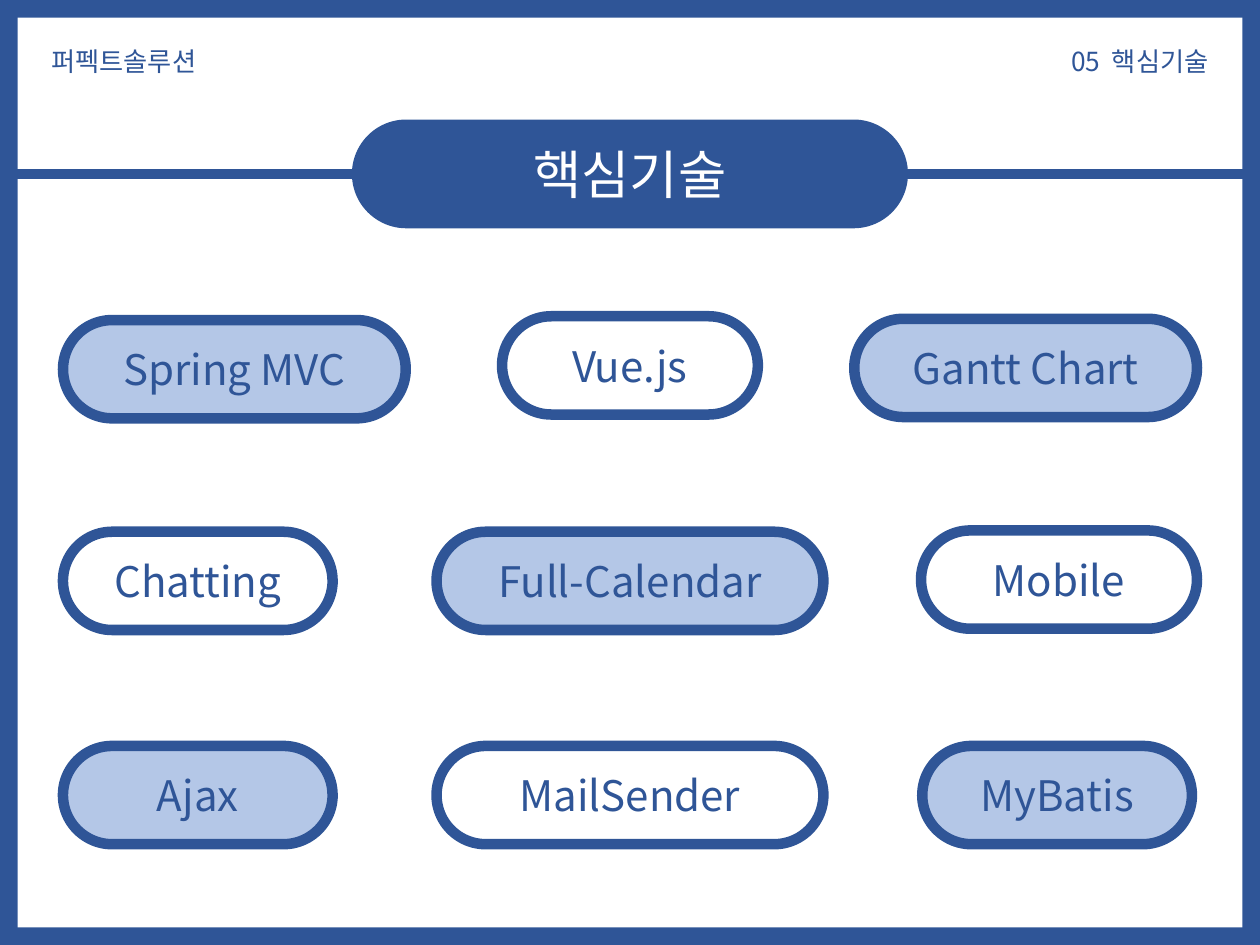
from lxml.etree import SubElement
from pptx import Presentation
from pptx.dml.color import RGBColor
from pptx.enum.shapes import MSO_CONNECTOR as Connector, MSO_SHAPE as Shape
from pptx.enum.text import MSO_ANCHOR as Anchor, MSO_AUTO_SIZE as AutoSize, PP_ALIGN as Align
from pptx.oxml.ns import qn
from pptx.util import Inches, Pt

FONT = "Noto Sans CJK KR"
NAVY, PALE, WHITE = "2F5597", "B4C7E7", "FFFFFF"
WIDTH, HEIGHT = 10, 7.5
FRAME = 0.14
MARGIN = 0.5
PILL_HEIGHT = 0.78
BORDER = 6

TITLE, TITLE_WIDTH, TITLE_MIDDLE = "핵심기술", 4.33, 1.38
HEADERS = [
    ("퍼펙트솔루션", 0.31, Align.LEFT),
    ("05  핵심기술", 6.75, Align.RIGHT),
]
ROW_TOPS = [2.53, 4.22, 5.92]
SKILLS = [
    [("Spring MVC", 2.72), ("Vue.js", 2.03), ("Gantt Chart", 2.72)],
    [("Chatting", 2.14), ("Full-Calendar", 3.07), ("Mobile", 2.19)],
    [("Ajax", 2.14), ("MailSender", 3.07), ("MyBatis", 2.14)],
]
NUDGES = {"Spring MVC": (0, 0.01), "Vue.js": (0, -0.02), "Mobile": (0, -0.01), "MyBatis": (-0.04, 0)}


def color(value):
    return RGBColor.from_string(value)


def write(box, text, size, ink, align):
    para = box.text_frame.paragraphs[0]
    para.alignment = align
    span = para.add_run()
    span.text = text
    span.font.size = Pt(size)
    span.font.name = FONT
    span.font.color.rgb = color(ink)
    SubElement(span.font._element, qn("a:ea")).set("typeface", FONT)


def add_panel(shapes, kind, left, top, width, height, fill):
    panel = shapes.add_shape(kind, Inches(left), Inches(top), Inches(width), Inches(height))
    panel.shadow.inherit = False
    panel.fill.solid()
    panel.fill.fore_color.rgb = color(fill)
    panel.line.fill.background()
    return panel


def add_pill(page, text, left, top, width, fill, ink, size):
    pill = add_panel(page.shapes, Shape.ROUNDED_RECTANGLE, left, top, width, PILL_HEIGHT, fill)
    pill.adjustments[0] = 0.5
    pill.line.color.rgb = color(NAVY)
    pill.line.width = Pt(BORDER)
    pill.text_frame.word_wrap = True
    pill.text_frame.vertical_anchor = Anchor.MIDDLE
    write(pill, text, size, ink, Align.CENTER)


def add_rule(page, start, end, y):
    rule = page.shapes.add_connector(Connector.STRAIGHT, Inches(start), Inches(y), Inches(end), Inches(y))
    rule.line.color.rgb = color(NAVY)
    rule.line.width = Pt(BORDER)
    SubElement(rule._element.spPr, qn("a:effectLst"))


def add_header(page, text, left, align):
    box = page.shapes.add_textbox(Inches(left), Inches(0.31), Inches(2.94), Inches(0.35))
    box.text_frame.word_wrap = True
    box.text_frame.auto_size = AutoSize.SHAPE_TO_FIT_TEXT
    write(box, text, 15, NAVY, align)


def main():
    deck = Presentation()
    deck.slide_width, deck.slide_height = Inches(WIDTH), Inches(HEIGHT)
    page = deck.slides.add_slide(deck.slide_layouts[6])

    frame = page.shapes.add_group_shape()
    for inset, fill in ((0, NAVY), (FRAME, WHITE)):
        add_panel(frame.shapes, Shape.RECTANGLE, inset, inset,
                  WIDTH - 2 * inset, HEIGHT - 2 * inset, fill)

    for header in HEADERS:
        add_header(page, *header)

    title_left = (WIDTH - TITLE_WIDTH) / 2
    add_pill(page, TITLE, title_left, TITLE_MIDDLE - PILL_HEIGHT / 2, TITLE_WIDTH, NAVY, WHITE, 30)
    add_rule(page, title_left, 0, TITLE_MIDDLE)
    add_rule(page, WIDTH, WIDTH - title_left, TITLE_MIDDLE)

    for row, (top, skills) in enumerate(zip(ROW_TOPS, SKILLS)):
        for column, (name, width) in enumerate(skills):
            left = MARGIN + (WIDTH - 2 * MARGIN - width) * column / 2
            shift_x, shift_y = NUDGES.get(name, (0, 0))
            fill = WHITE if (row + column) % 2 else PALE
            add_pill(page, name, left + shift_x, top + shift_y, width, fill, NAVY, 24)

    deck.save("out.pptx")


if __name__ == "__main__":
    main()
